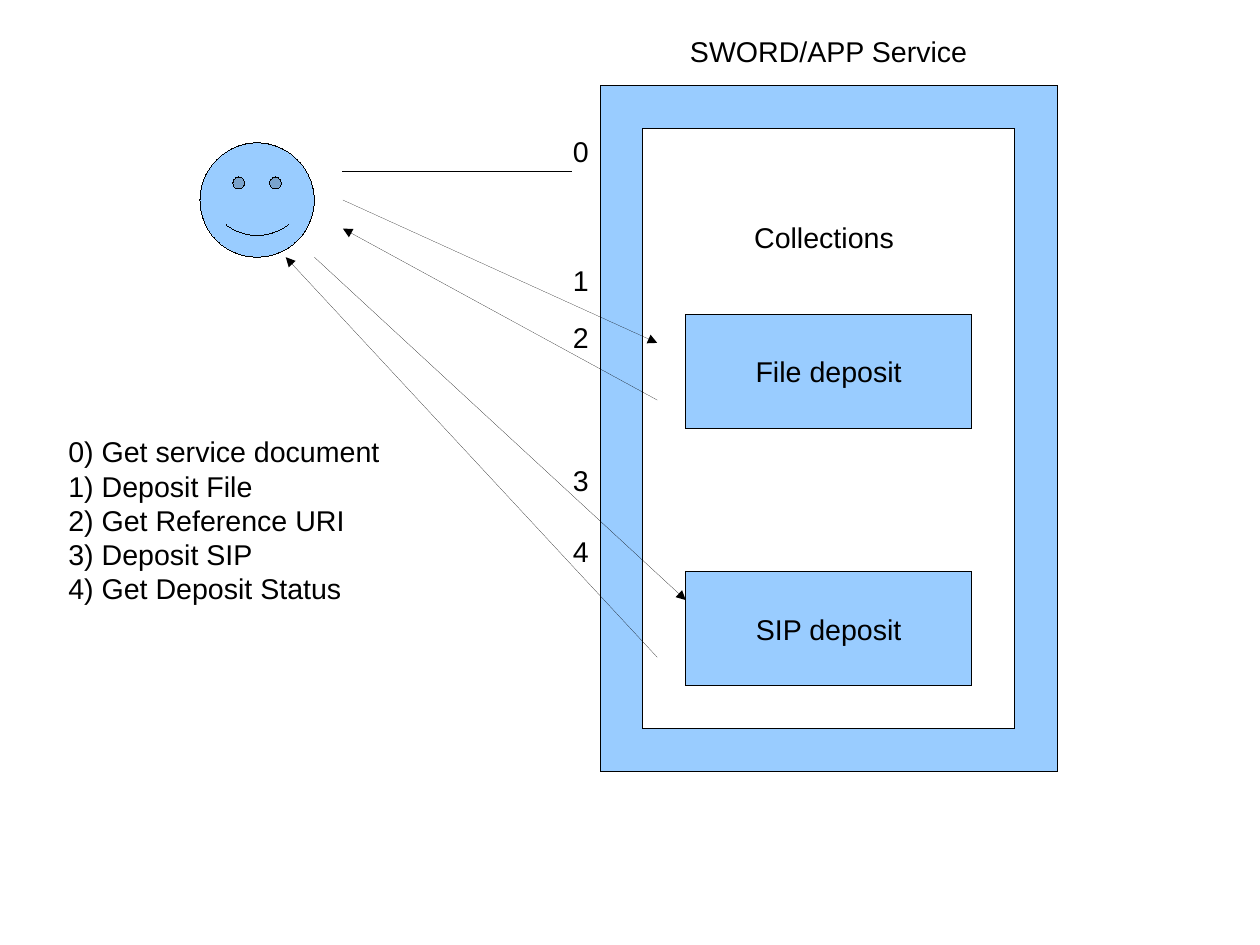
"""Draw the deposit steps between a user and a SWORD/APP service."""
from lxml import etree
from pptx import Presentation
from pptx.dml.color import RGBColor
from pptx.enum.shapes import MSO_CONNECTOR, MSO_SHAPE
from pptx.enum.text import MSO_ANCHOR, MSO_AUTO_SIZE, PP_ALIGN
from pptx.oxml.ns import qn
from pptx.util import Cm, Inches, Pt

BLUE = RGBColor(0x99, 0xCC, 0xFF)
BLACK = RGBColor(0, 0, 0)
SMILE, FRAME, RECT = MSO_SHAPE.SMILEY_FACE, MSO_SHAPE.FRAME, MSO_SHAPE.RECTANGLE
LINE = MSO_CONNECTOR.STRAIGHT
TOP, MIDDLE = MSO_ANCHOR.TOP, MSO_ANCHOR.MIDDLE
LEFT, CENTER = PP_ALIGN.LEFT, PP_ALIGN.CENTER
FIXED = MSO_AUTO_SIZE.NONE
UNIT = Inches(0.25)
HAIR = Pt(0.01)


def grid(*cells):
    """Turn grid cells into lengths."""
    return [round(cell * UNIT) for cell in cells]


def write(shape, text, align=LEFT, anchor=TOP, wrap=True):
    """Put styled text into a shape."""
    frame = shape.text_frame
    frame.text = text
    frame.auto_size = FIXED
    frame.word_wrap = wrap
    frame.vertical_anchor = anchor
    for para in frame.paragraphs:
        para.alignment = align
        para.font.name = "Arial"
        para.font.size = Pt(18)
        para.font.color.rgb = BLACK


deck = Presentation()
deck.slide_width, deck.slide_height = Cm(28), Cm(21)
slide = deck.slides.add_slide(deck.slide_layouts[5])
shapes = slide.shapes

title = shapes.title
title.left, title.top, title.width, title.height = grid(21, 1, 16, 1.5)
write(title, "SWORD/APP Service", CENTER)

blocks = [
    (SMILE, (7, 5, 4, 4), 0.047, ""),
    (FRAME, (21, 3, 16, 24), 0.093, ""),
    (RECT, (24, 20, 10, 4), None, "SIP deposit"),
    (RECT, (24, 11, 10, 4), None, "File deposit"),
]
for kind, cells, bend, text in blocks:
    block = shapes.add_shape(kind, *grid(*cells))
    block.shadow.inherit = False
    block.fill.solid()
    block.fill.fore_color.rgb = BLUE
    block.line.color.rgb = BLACK
    block.line.width = HAIR
    if bend:
        block.adjustments[0] = bend
    if text:
        write(block, text, CENTER, MIDDLE)

labels = [("Collections", 26, 7.5, 5.7)]
rows = [4.5, 9, 11, 16, 18.5]
labels += [(str(step), 19.65, row, 1.35) for step, row in enumerate(rows)]
for text, left, top, width in labels:
    label = shapes.add_textbox(*grid(left, top, width, 1.5))
    write(label, text, wrap=False)

steps = ["Get service document", "Deposit File", "Get Reference URI",
         "Deposit SIP", "Get Deposit Status"]
key = shapes.add_textbox(*grid(2, 15, 12, 6))
write(key, "\n".join(f"{step}) {text}" for step, text in enumerate(steps)))

paths = [
    ((12, 6, 20, 6), False),
    ((12, 7, 23, 12), True),
    ((23, 14, 12, 8), True),
    ((11, 9, 24, 21), True),
    ((23, 23, 10, 9), True),
]
for ends, arrow in paths:
    line = shapes.add_connector(LINE, *grid(*ends))
    line.line.color.rgb = BLACK
    line.line.width = HAIR
    if arrow:
        tip = etree.SubElement(line.line._get_or_add_ln(), qn("a:tailEnd"))
        tip.set("type", "triangle")
    etree.SubElement(line._element.spPr, qn("a:effectLst"))

deck.save("out.pptx")
